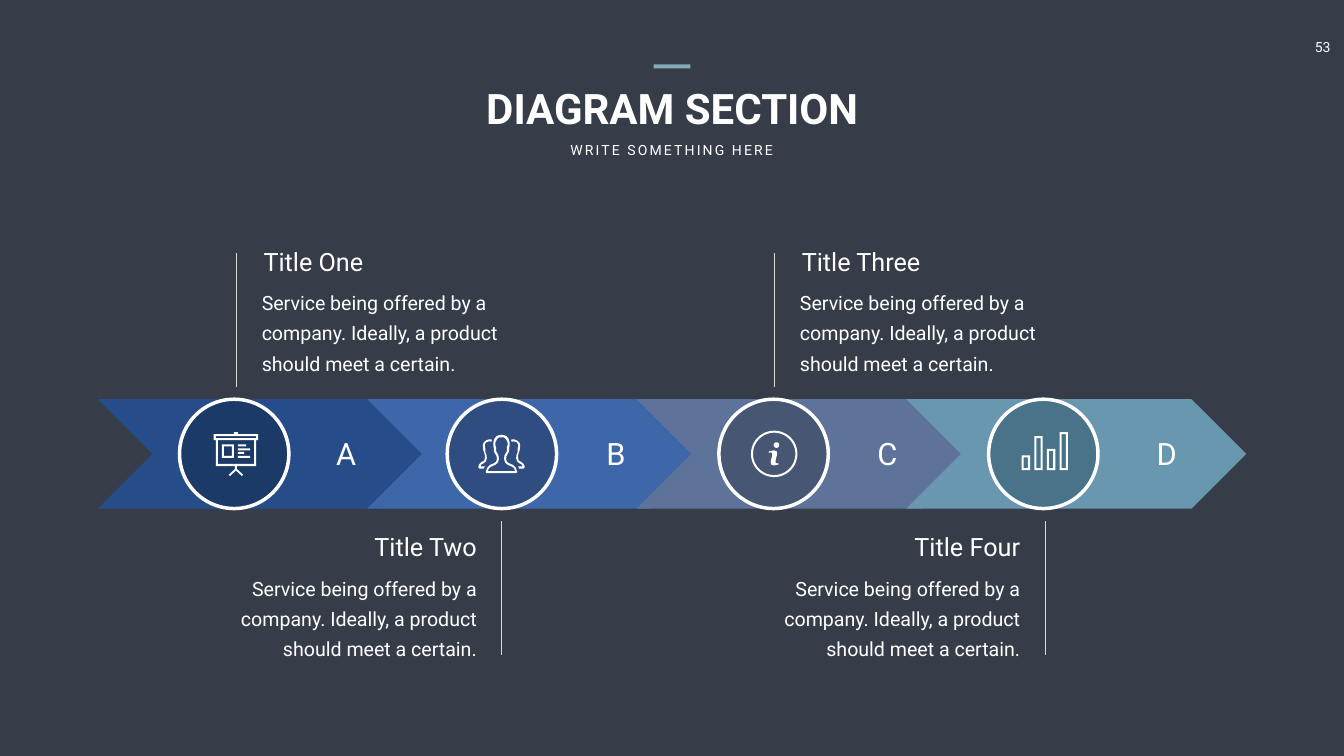
from math import cos, pi, sin

from lxml import etree
from pptx import Presentation
from pptx.dml.color import RGBColor
from pptx.enum.shapes import MSO_CONNECTOR, MSO_SHAPE
from pptx.enum.text import MSO_AUTO_SIZE, PP_ALIGN
from pptx.oxml.ns import qn
from pptx.util import Cm, Pt

LEFT, CENTER, RIGHT = PP_ALIGN.LEFT, PP_ALIGN.CENTER, PP_ALIGN.RIGHT
CHEVRON, OVAL, RECT = MSO_SHAPE.CHEVRON, MSO_SHAPE.OVAL, MSO_SHAPE.RECTANGLE
STRAIGHT = MSO_CONNECTOR.STRAIGHT
GROW = MSO_AUTO_SIZE.SHAPE_TO_FIT_TEXT

THEME = {
    "font": "Roboto", "bg": "363D48", "text": "FFFFFF", "accent": "84ACB6", "rule": "D9D9D9",
    "heading": 60, "letter": 44, "title": 36, "body": 28, "small": 20,
}

BODY = "Service being offered by a company. Ideally, a product should meet a certain."
STEPS = [
    {"letter": "A", "title": "Title One", "arrow": "264D89", "disc": "1C3A67",
     "disc_x": 11.8, "rule_x": 11.89, "letter_x": 17.45, "icon": "board"},
    {"letter": "B", "title": "Title Two", "arrow": "3E67AA", "disc": "2F4D80",
     "disc_x": 25.29, "rule_x": 25.27, "letter_x": 31.04, "icon": "people"},
    {"letter": "C", "title": "Title Three", "arrow": "5D739A", "disc": "465673",
     "disc_x": 38.98, "rule_x": 39.01, "letter_x": 44.72, "icon": "info"},
    {"letter": "D", "title": "Title Four", "arrow": "6997AF", "disc": "497389",
     "disc_x": 52.57, "rule_x": 52.65, "letter_x": 58.79, "icon": "bars"},
]

SLIDE_W, SLIDE_H = 67.72, 38.1
BAND_TOP, BAND_H = 20.12, 5.51
ARROW_LEFT, ARROW_W, ARROW_STEP = 4.93, 17.12, 13.58
RULE_H = 6.75
TITLE_W, TITLE_H, BODY_W, BODY_H = 10.08, 1.8, 14.05, 5.03
ABOVE = {"align": LEFT, "rule": 12.73, "title": 12.27, "body": 14.05}
BELOW = {"align": RIGHT, "rule": 26.24, "title": 26.64, "body": 28.45}
ICON_SIZE, ICON_GRID, FINE = 2.34, 92, 10


def box(x, y, w, h):
    return [(x, y), (x + w, y), (x + w, y + h), (x, y + h)]


def frame(x, y, w, h, t=4):
    return [box(x, y, w, h), box(x + t, y + t, w - 2 * t, h - 2 * t)]


def circle(x, y, radius, n=48):
    return [(x + radius * cos(2 * pi * i / n), y + radius * sin(2 * pi * i / n)) for i in range(n)]


def mirror(points):
    return [(ICON_GRID - x, y) for x, y in points]


def symmetric(half):
    return half + mirror(half)[::-1]


HEAD_OUTER = [(46, 8), (51, 9), (56, 11), (60, 16), (62, 23), (62, 30), (61, 36), (61, 41),
              (59, 45), (56, 50), (55, 56), (57, 62), (62, 65), (69, 68), (74, 73), (77, 81),
              (77, 83), (75, 84)]
HEAD_INNER = [(46, 13), (51, 13.5), (55, 17), (58, 23), (58, 29), (56.5, 34), (56.5, 41),
              (55, 43.5), (52, 49), (51, 56), (53, 63), (58, 67.5), (66, 71), (71, 74.5), (73, 80)]
SIDE_HEAD = [(64.5, 18), (70, 17), (76, 19), (81, 23), (83, 28), (82.5, 34), (82, 39), (80, 44),
             (79, 49), (79, 54), (80, 59), (83.5, 61), (88, 64), (91, 68), (92, 73), (90, 75),
             (81, 75), (79, 71), (88, 71), (86, 67), (82, 65), (77, 61), (75, 54), (76, 47),
             (78, 43), (78, 36), (79, 31), (79, 27), (76, 23), (70, 21), (66.5, 22)]
STAND = [(44, 70), (44, 76), (32, 87), (34, 90), (46, 79), (58, 90), (60, 87), (48, 76), (48, 70)]
INFO_STEM = [(35, 44), (36, 41), (45, 39), (51, 41), (52, 46), (49, 58), (49, 64), (52, 65),
             (55, 65), (55, 67), (46, 69), (40, 67), (39, 61), (42, 50), (42, 44), (39, 43)]
BAR_TOPS = [49, 11, 36, 3]
BAR_BASE, BAR_W, BAR_STEP = 78, 16.5, 25
TEXT_LINES = [(27, 16), (35, 24), (42, 12), (50, 24)]

ICONS = {
    "board": [*frame(2, 7, 88, 12), box(42, 3, 8, 4), box(6, 19, 80, 51), box(10, 19, 72, 47),
              STAND, *frame(18, 27, 24, 27), *[box(50, y, w, 4) for y, w in TEXT_LINES]],
    "people": [symmetric(HEAD_OUTER), symmetric(HEAD_INNER), SIDE_HEAD, mirror(SIDE_HEAD)],
    "info": [circle(46, 46, 46), circle(46, 46, 42), circle(50.5, 28.5, 5.5), INFO_STEM],
    "bars": [outline for i, top in enumerate(BAR_TOPS)
             for outline in frame(i * BAR_STEP, top, BAR_W, BAR_BASE - top)],
}


def rgb(name):
    return RGBColor.from_string(THEME.get(name, name))


def paint(sp, fill, line=None, width=5):
    sp.shadow.inherit = False
    sp.fill.solid()
    sp.fill.fore_color.rgb = rgb(fill)
    if line:
        sp.line.color.rgb = rgb(line)
        sp.line.width = Pt(width)
    else:
        sp.line.fill.background()


def add_block(s, kind, x, y, w, h, fill, line=None):
    sp = s.shapes.add_shape(kind, Cm(x), Cm(y), Cm(w), Cm(h))
    paint(sp, fill, line)


def add_text(s, text, x, y, w, h, size, align=CENTER, bold=False, wrap=True,
             inset=(0.25, 0.13), leading=None, tracking=None):
    tf = s.shapes.add_textbox(Cm(x), Cm(y), Cm(w), Cm(h)).text_frame
    tf.word_wrap = wrap
    tf.auto_size = GROW
    tf.margin_left = tf.margin_right = Cm(inset[0])
    tf.margin_top = tf.margin_bottom = Cm(inset[1])
    p = tf.paragraphs[0]
    p.alignment = align
    if leading:
        p.line_spacing = Pt(leading)
    r = p.add_run()
    r.text = text
    r.font.name = THEME["font"]
    r.font.size = Pt(THEME[size])
    r.font.bold = bold
    r.font.color.rgb = rgb("text")
    if tracking:
        r.font._element.set("spc", str(tracking * 100))


def add_rule(s, x, top):
    line = s.shapes.add_connector(STRAIGHT, Cm(x), Cm(top + RULE_H), Cm(x), Cm(top))
    line.line.color.rgb = rgb("rule")
    line.line.width = Pt(1)
    etree.SubElement(line._element.spPr, qn("a:effectLst"))


def add_icon(s, outlines, x, y):
    fine = [[(px * FINE, py * FINE) for px, py in points] for points in outlines]
    builder = s.shapes.build_freeform(*fine[0][0], scale=Cm(ICON_SIZE) / (ICON_GRID * FINE))
    for i, points in enumerate(fine):
        if i:
            builder.move_to(*points[0])
        builder.add_line_segments(points[1:], close=True)
    paint(builder.convert_to_shape(Cm(x - ICON_SIZE / 2), Cm(y - ICON_SIZE / 2)), "text")


def add_header(s):
    add_text(s, "53", 65.49, 1.7, 2.31, 1.37, "small", wrap=False, inset=(0.51, 0.25))
    add_text(s, "DIAGRAM SECTION", 20.78, 4.04, 26.19, 2.82, "heading", bold=True)
    add_text(s, "WRITE SOMETHING HERE", 28.32, 6.99, 11.05, 1.12, "small", wrap=False, tracking=3)
    add_block(s, RECT, 32.94, 3.25, 1.85, 0.2, "accent")


def add_caption(s, step, side):
    x, align = step["rule_x"], side["align"]
    if align == LEFT:
        title_x, body_x = x + 1.14, x + 0.69
    else:
        title_x, body_x = x - 1 - TITLE_W, x - 0.64 - BODY_W
    add_rule(s, x, side["rule"])
    add_text(s, BODY, body_x, side["body"], BODY_W, BODY_H, "body", align=align,
             inset=(0.61, 0.3), leading=43)
    add_text(s, step["title"], title_x, side["title"], TITLE_W, TITLE_H, "title", align=align)


def main():
    prs = Presentation()
    prs.slide_width, prs.slide_height = Cm(SLIDE_W), Cm(SLIDE_H)
    s = prs.slides.add_slide(prs.slide_layouts[6])
    s.background.fill.solid()
    s.background.fill.fore_color.rgb = rgb("bg")
    add_header(s)
    for i, step in enumerate(STEPS):
        add_block(s, CHEVRON, ARROW_LEFT + i * ARROW_STEP, BAND_TOP, ARROW_W, BAND_H, step["arrow"])
    for i, step in enumerate(STEPS):
        add_block(s, OVAL, step["disc_x"] - BAND_H / 2, BAND_TOP, BAND_H, BAND_H, step["disc"], "text")
        add_text(s, step["letter"], step["letter_x"] - 0.76, 21.79, 1.52, 2.13, "letter", wrap=False)
        add_caption(s, step, BELOW if i % 2 else ABOVE)
        add_icon(s, ICONS[step["icon"]], step["rule_x"], BAND_TOP + BAND_H / 2)
    prs.save("out.pptx")


if __name__ == "__main__":
    main()
